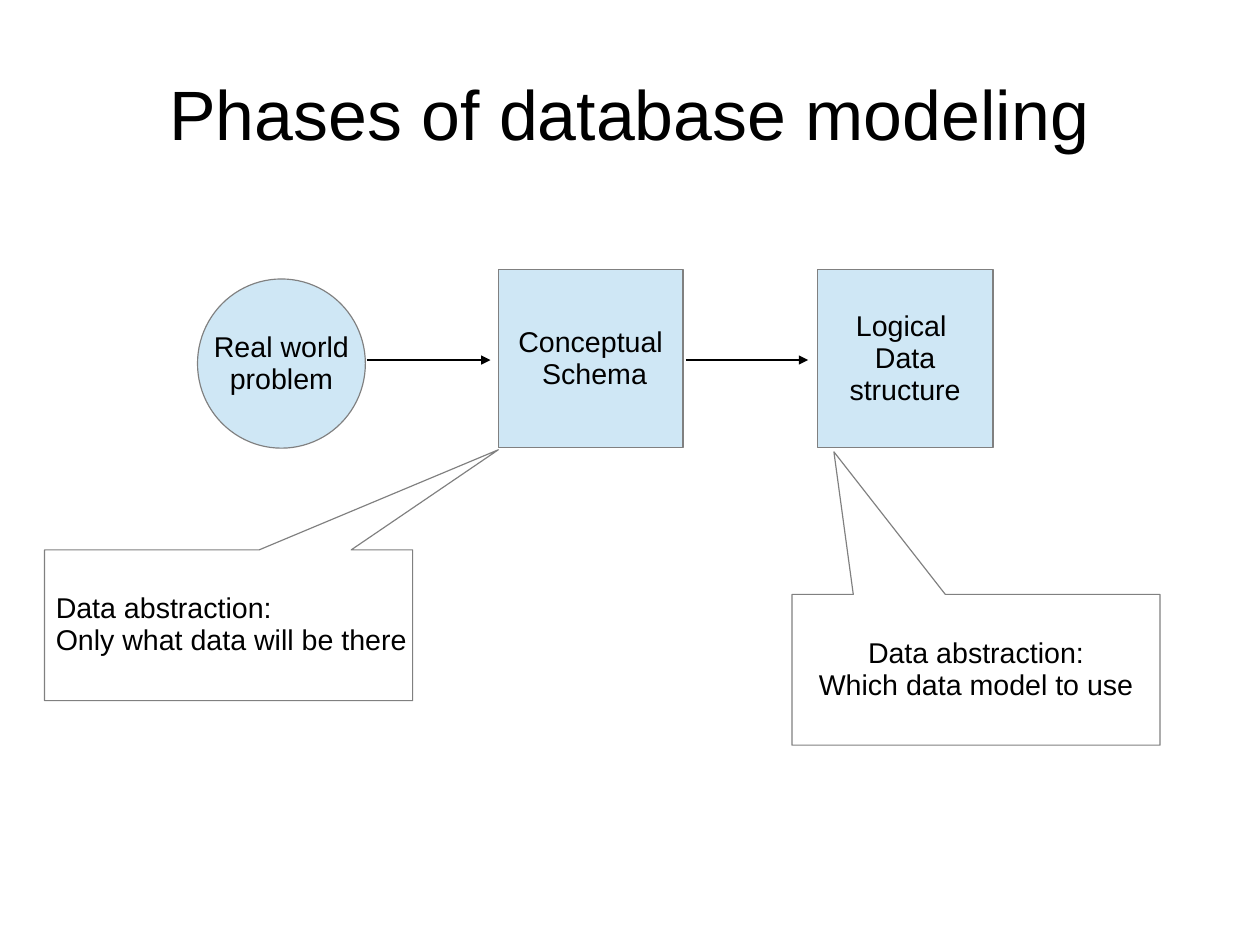
from lxml import etree
from pptx import Presentation
from pptx.dml.color import RGBColor
from pptx.enum.shapes import MSO_CONNECTOR, MSO_SHAPE
from pptx.enum.text import MSO_ANCHOR, PP_ALIGN
from pptx.oxml.ns import qn
from pptx.util import Cm, Pt

STRAIGHT = MSO_CONNECTOR.STRAIGHT
CIRCLE, BOX, CALLOUT = MSO_SHAPE.OVAL, MSO_SHAPE.RECTANGLE, MSO_SHAPE.RECTANGULAR_CALLOUT
MIDDLE = MSO_ANCHOR.MIDDLE
LEFT, CENTER = PP_ALIGN.LEFT, PP_ALIGN.CENTER

BLACK, GREY, PALE_BLUE = "000000", "808080", "CFE7F5"
ARROW_Y = 8

PHASES = [
    (CIRCLE, (4.39, 6.2, 3.73, 3.76), ["Real world", "problem"]),
    (BOX, (11.07, 5.99, 4.11, 3.96), ["Conceptual", " Schema"]),
    (BOX, (18.16, 5.99, 3.91, 3.96), ["Logical ", "Data", "structure"]),
]
ARROWS = [(8.15, 10.9), (15.24, 17.96)]
ABSTRACTIONS = [
    ((0.99, 12.22, 8.18, 3.35), (0.733, -1.164), LEFT,
     ["Data abstraction:", "Only what data will be there"]),
    ((17.6, 13.21, 8.18, 3.35), (-0.386, -1.446), CENTER,
     ["Data abstraction:", "Which data model to use"]),
]


def color(hex_value):
    """Return the colour for a hex string."""
    return RGBColor.from_string(hex_value)


def apply(target, values):
    """Set each attribute of the target from a dict."""
    for name, value in values.items():
        setattr(target, name, value)


def write(frame, lines, size, align, **frame_format):
    """Write one paragraph per line in the slide's text style."""
    apply(frame, {"vertical_anchor": MIDDLE, **frame_format})
    frame.text = "\n".join(lines)
    for paragraph in frame.paragraphs:
        apply(paragraph, {"alignment": align, "line_spacing": 0.93,
                          "space_before": Pt(0)})
        apply(paragraph.font, {"size": Pt(size), "name": "Arial"})
        paragraph.font.color.rgb = color(BLACK)


def outline(line, hex_value):
    """Give a line its colour and the common width."""
    line.color.rgb = color(hex_value)
    line.width = Pt(0.75)


def add_title(slide, title):
    """Place and format the title placeholder."""
    heading = slide.shapes.title
    apply(heading, {"left": Cm(1.4), "top": Cm(0.84),
                    "width": Cm(25.2), "height": Cm(3.51)})
    write(heading.text_frame, [title], 44, CENTER, margin_left=0,
          margin_right=0, margin_top=0, margin_bottom=0)


def add_labelled(slide, kind, place, lines, align=CENTER, fill=None):
    """Add an outlined shape with a label and return it."""
    shape = slide.shapes.add_shape(kind, *map(Cm, place))
    shape.shadow.inherit = False
    if fill:
        shape.fill.solid()
        shape.fill.fore_color.rgb = color(fill)
    else:
        shape.fill.background()
    outline(shape.line, GREY)
    write(shape.text_frame, lines, 18, align, word_wrap=False)
    return shape


def add_callout(slide, place, tip, align, lines):
    """Add an unfilled callout whose wedge ends at the tip."""
    callout = add_labelled(slide, CALLOUT, place, lines, align)
    for index, offset in enumerate(tip):
        callout.adjustments[index] = offset


def add_arrow(slide, start, end):
    """Add a horizontal arrow between two phases."""
    arrow = slide.shapes.add_connector(
        STRAIGHT, Cm(start), Cm(ARROW_Y), Cm(end), Cm(ARROW_Y))
    outline(arrow.line, BLACK)
    properties = arrow.element.spPr
    head = etree.SubElement(properties.find(qn("a:ln")), qn("a:tailEnd"))
    head.set("type", "triangle")
    etree.SubElement(properties, qn("a:effectLst"))


def main():
    """Build and save the slide."""
    deck = Presentation()
    apply(deck, {"slide_width": Cm(28), "slide_height": Cm(21)})
    slide = deck.slides.add_slide(deck.slide_layouts[5])
    add_title(slide, "Phases of database modeling")
    for kind, place, lines in PHASES:
        add_labelled(slide, kind, place, lines, fill=PALE_BLUE)
    for start, end in ARROWS:
        add_arrow(slide, start, end)
    for abstraction in ABSTRACTIONS:
        add_callout(slide, *abstraction)
    deck.save("out.pptx")


if __name__ == "__main__":
    main()
